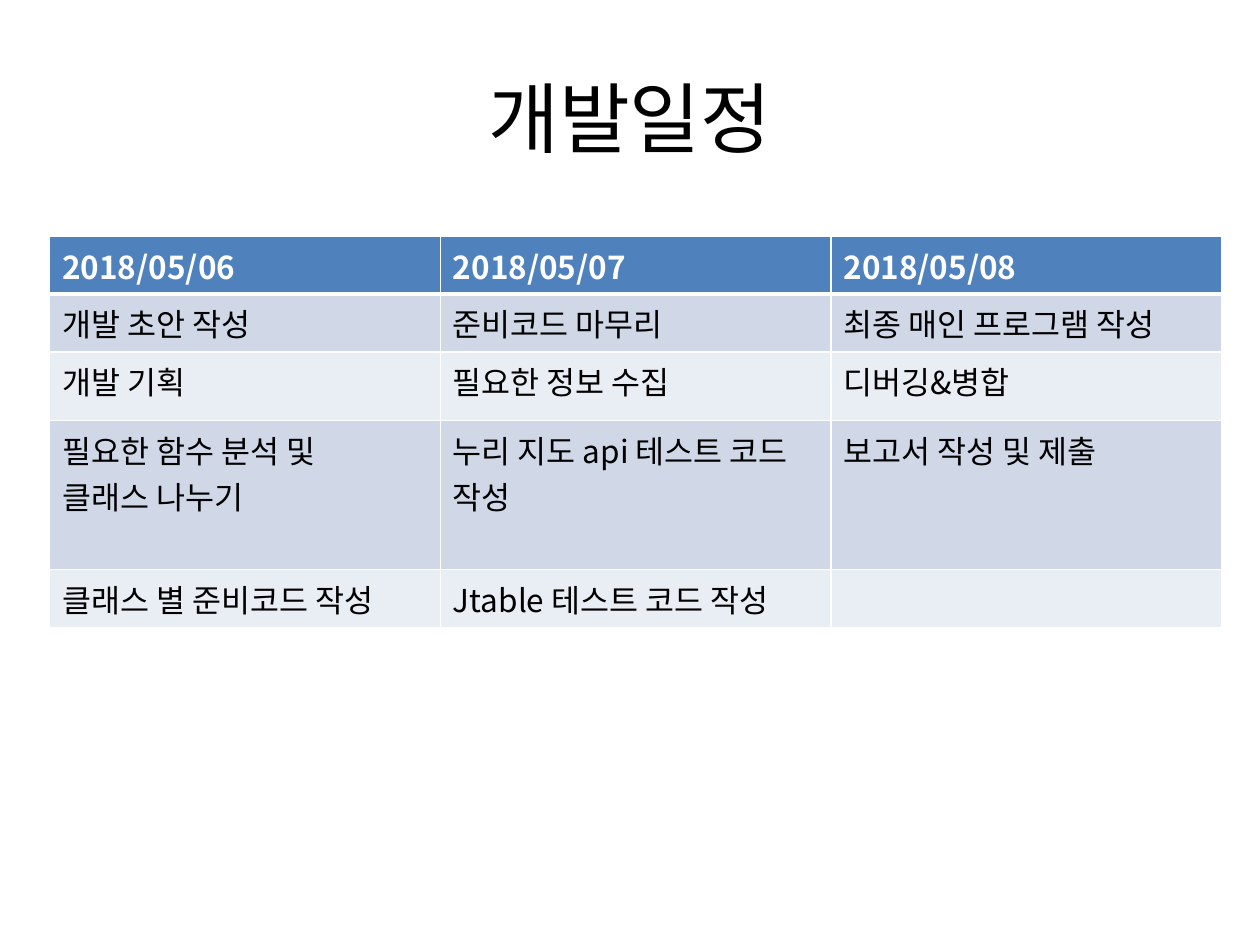
from dataclasses import dataclass

from lxml import etree
from pptx import Presentation
from pptx import util as u
from pptx.dml.color import RGBColor
from pptx.enum import text
from pptx.oxml import ns

FONT = "Noto Sans CJK KR"
BLACK = RGBColor(0x00, 0x00, 0x00)
WHITE = RGBColor(0xFF, 0xFF, 0xFF)
HEADER_BLUE = RGBColor(0x4F, 0x81, 0xBD)
BAND_DARK = RGBColor(0xD0, 0xD8, 0xE8)
BAND_LIGHT = RGBColor(0xE9, 0xED, 0xF4)


@dataclass(frozen=True)
class Style:
    size: float
    color: RGBColor
    bold: bool = False


@dataclass(frozen=True)
class Row:
    height: float
    cells: tuple[str, ...]


TITLE = Style(44, BLACK)
HEADER = Style(18, WHITE, True)
BODY = Style(18, BLACK)

# A line feed separates two paragraphs of a cell
SCHEDULE = (
    Row(33, ("2018/05/06", "2018/05/07", "2018/05/08")),
    Row(33, ("개발 초안 작성", "준비코드 마무리", "최종 매인 프로그램 작성")),
    Row(39.4, ("개발 기획", "필요한 정보 수집", "디버깅&병합")),
    Row(85.2, ("필요한 함수 분석 및\n클래스 나누기",
               "누리 지도 api 테스트 코드 작성", "보고서 작성 및 제출")),
    Row(33, ("클래스 별 준비코드 작성", "Jtable 테스트 코드 작성", "")),
)
COLUMN_WIDTH = 223.2


def write(frame, wording: str, style: Style, align=text.PP_ALIGN.LEFT) -> None:
    """Write one paragraph per line, with the font set for Latin and Korean."""
    for index, line in enumerate(wording.split("\n")):
        para = frame.add_paragraph() if index else frame.paragraphs[0]
        para.alignment = align
        if not line:
            continue
        span = para.add_run()
        span.text = line
        font = span.font
        font.name, font.size, font.bold = FONT, u.Pt(style.size), style.bold
        font.color.rgb = style.color
        east_asian = etree.SubElement(span._r.get_or_add_rPr(), ns.qn("a:ea"))
        east_asian.set("typeface", FONT)


def add_borders(cell, bottom: float, top: float) -> None:
    """Draw white lines on the four sides of a cell."""
    properties = cell._tc.get_or_add_tcPr()
    for side, width in (("L", 1), ("R", 1), ("T", top), ("B", bottom)):
        line = etree.SubElement(properties, ns.qn(f"a:ln{side}"), w=str(u.Pt(width)))
        fill = etree.SubElement(line, ns.qn("a:solidFill"))
        etree.SubElement(fill, ns.qn("a:srgbClr"), val=str(WHITE))


def add_title(page, wording: str) -> None:
    box = page.shapes.add_textbox(u.Pt(36), u.Pt(21.6), u.Pt(648), u.Pt(90))
    frame = box.text_frame
    frame.word_wrap = True
    frame.vertical_anchor = text.MSO_ANCHOR.MIDDLE
    write(frame, wording, TITLE, text.PP_ALIGN.CENTER)


def add_schedule(page, rows: tuple[Row, ...]) -> None:
    columns = len(rows[0].cells)
    table = page.shapes.add_table(
        len(rows), columns, u.Pt(28.4), u.Pt(135),
        u.Pt(COLUMN_WIDTH * columns), u.Pt(sum(row.height for row in rows)),
    ).table
    for column in table.columns:
        column.width = u.Pt(COLUMN_WIDTH)
    for r, row in enumerate(rows):
        table.rows[r].height = u.Pt(row.height)
        band = BAND_DARK if r % 2 else BAND_LIGHT
        for c, wording in enumerate(row.cells):
            cell = table.cell(r, c)
            add_borders(cell, bottom=1 if r else 3, top=3 if r == 1 else 1)
            cell.fill.solid()
            cell.fill.fore_color.rgb = band if r else HEADER_BLUE
            write(cell.text_frame, wording, BODY if r else HEADER)


def main() -> None:
    deck = Presentation()
    deck.slide_width, deck.slide_height = u.Pt(720), u.Pt(540)
    page = deck.slides.add_slide(deck.slide_layouts[6])

    # Heading
    add_title(page, "개발일정")
    # Three-day schedule
    add_schedule(page, SCHEDULE)

    deck.save("out.pptx")


if __name__ == "__main__":
    main()
